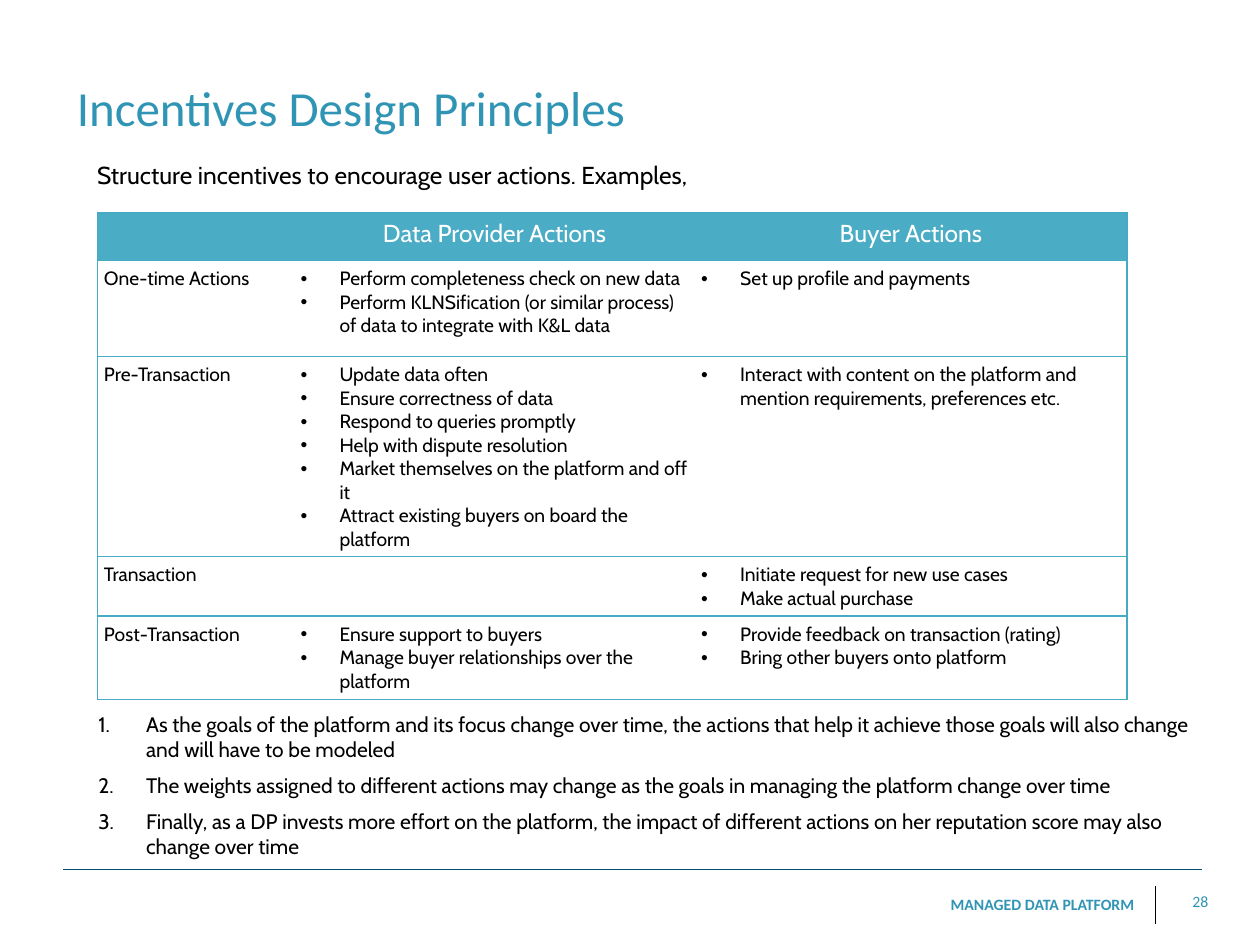
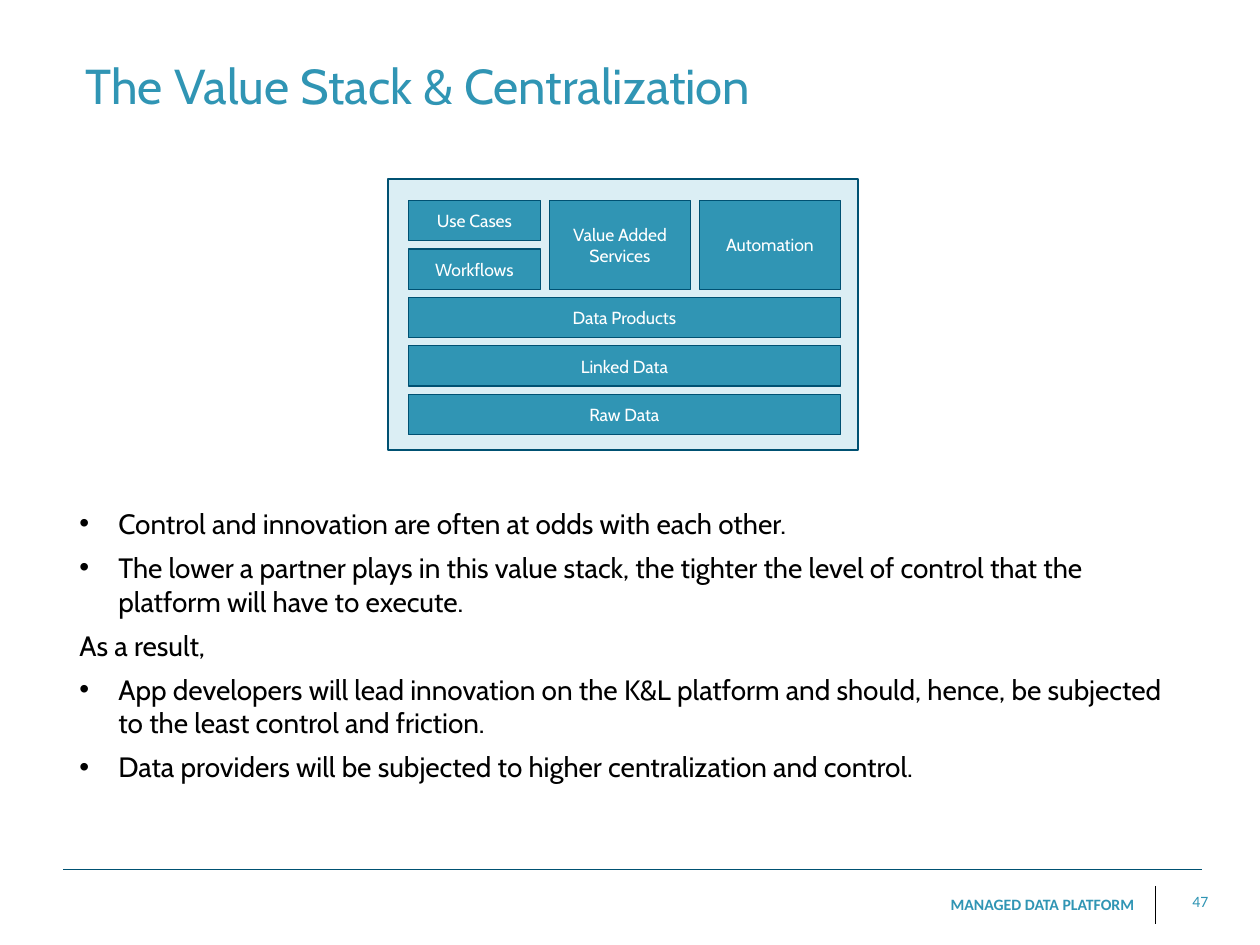
"""Builds two slides on platform incentives and the value stack."""
from typing import NamedTuple

from lxml.etree import SubElement
from pptx import Presentation
from pptx.dml.color import RGBColor
from pptx.enum.shapes import MSO_CONNECTOR as Link, MSO_SHAPE as Form
from pptx.enum.text import MSO_ANCHOR as Anchor, PP_ALIGN as Align
from pptx.oxml.ns import qn
from pptx.util import Emu, Inches, Pt

WIDE, HIGH = Inches(10), Inches(7.5)
COLS, ROWS = 100, 75
BLUE, NAVY, PALE = "3095B4", "005172", "DBEEF4"
HEAD, EDGE = "4BACC6", "46AAC4"
BLACK, WHITE = "000000", "FFFFFF"
PAD = Inches(0.05)


class Box(NamedTuple):
    left: float
    top: float
    width: float
    height: float


class Look(NamedTuple):
    size: float
    color: str = BLACK
    face: str = "Cabin"
    bold: bool = False
    align: Align = Align.LEFT
    gap: float = 0


class Item(NamedTuple):
    text: str
    mark: str = ""
    dent: float = 0.31


class Tile(NamedTuple):
    text: str
    col: int
    row: int
    wide: int = 1
    tall: int = 1


FOOT = Look(9, BLUE, "Calibri", align=Align.RIGHT)
CELL = Look(11)
TOP = Look(14, WHITE, align=Align.CENTER)
LABEL = Look(10, WHITE, align=Align.CENTER)

GRID_COLS = (15.6, 31.8, 34.3)
GRID_ROWS = (3.8, 7.6, 15.9, 4.7, 6.6)
ACTIONS = (
    ("One-time Actions",
     ("Perform completeness check on new data",
      "Perform KLNSification (or similar process) of data to integrate with K&L data"),
     ("Set up profile and payments",)),
    ("Pre-Transaction",
     ("Update data often", "Ensure correctness of data",
      "Respond to queries promptly", "Help with dispute resolution",
      "Market themselves on the platform and off it",
      "Attract existing buyers on board the platform"),
     ("Interact with content on the platform and mention requirements, preferences etc.",)),
    ("Transaction", (),
     ("Initiate request for new use cases", "Make actual purchase")),
    ("Post-Transaction",
     ("Ensure support to buyers", "Manage buyer relationships over the platform"),
     ("Provide feedback on transaction (rating)", "Bring other buyers onto platform")),
)
NOTES = (
    "As the goals of the platform and its focus change over time, the actions that help it "
    "achieve those goals will also change and will have to be modeled",
    "The weights assigned to different actions may change as the goals in managing the "
    "platform change over time",
    "Finally, as a DP invests more effort on the platform, the impact of different actions "
    "on her reputation score may also change over time",
)
STACK = Box(32.4, 15.9, 34.3, 18.6)
STACK_COLS = (10.5, 11.2, 11.2)
STACK_GAP, TILE_HIGH, PITCH = 0.7, 3.2, 3.85
TILES = (
    Tile("Use Cases", 0, 0), Tile("Workflows", 0, 1),
    Tile("Value Added Services", 1, 0, tall=2), Tile("Automation", 2, 0, tall=2),
    Tile("Data Products", 0, 2, wide=3), Tile("Linked Data", 0, 3, wide=3),
    Tile("Raw Data", 0, 4, wide=3),
)
POINTS = (
    Item("Control and innovation are often at odds with each other.", "•"),
    Item("The lower a partner plays in this value stack, the tighter the level of control "
         "that the platform will have to execute.", "•"),
    Item("As a result,"),
    Item("App developers will lead innovation on the K&L platform and should, hence, be "
         "subjected to the least control and friction.", "•"),
    Item("Data providers will be subjected to higher centralization and control.", "•"),
)


def across(n: float) -> Emu:
    return Emu(round(WIDE * n / COLS))


def down(n: float) -> Emu:
    return Emu(round(HIGH * n / ROWS))


def place(box: Box) -> tuple[Emu, Emu, Emu, Emu]:
    return across(box.left), down(box.top), across(box.width), down(box.height)


def rgb(code: str) -> RGBColor:
    return RGBColor.from_string(code)


def set_mark(para, item: Item) -> None:
    props = para._p.get_or_add_pPr()
    dent = Inches(item.dent)
    props.set("marL", str(dent))
    props.set("indent", str(-dent))
    if item.mark == "1.":
        SubElement(props, qn("a:buAutoNum"), type="arabicPeriod")
    else:
        SubElement(props, qn("a:buFont"), typeface="Arial")
        SubElement(props, qn("a:buChar"), char=item.mark)


def write(frame, items: list[Item], look: Look) -> None:
    for i, item in enumerate(items):
        para = frame.add_paragraph() if i else frame.paragraphs[0]
        para.text = item.text
        para.alignment = look.align
        if i and look.gap:
            para.space_before = Pt(look.gap)
        if item.mark:
            set_mark(para, item)
        font = para.font
        font.size, font.name, font.bold = Pt(look.size), look.face, look.bold
        font.color.rgb = rgb(look.color)


def set_pads(thing) -> None:
    thing.margin_left = thing.margin_right = PAD
    thing.margin_top = thing.margin_bottom = PAD


def add_text(slide, box: Box, items: list[Item], look: Look,
             anchor: Anchor = Anchor.TOP, wrap: bool = True) -> None:
    frame = slide.shapes.add_textbox(*place(box)).text_frame
    set_pads(frame)
    frame.word_wrap, frame.vertical_anchor = wrap, anchor
    write(frame, items, look)


def add_rule(slide, x1: float, y1: float, x2: float, y2: float, color: str) -> None:
    rule = slide.shapes.add_connector(
        Link.STRAIGHT, across(x1), down(y1), across(x2), down(y2))
    rule.line.color.rgb = rgb(color)
    rule.line.width = Pt(0.5)
    SubElement(rule._element.spPr, qn("a:effectLst"))


def add_block(slide, box: Box, fill: str, line: float, text: str = "") -> None:
    block = slide.shapes.add_shape(Form.RECTANGLE, *place(box))
    block.shadow.inherit = False
    block.fill.solid()
    block.fill.fore_color.rgb = rgb(fill)
    block.line.color.rgb = rgb(NAVY)
    block.line.width = Pt(line)
    if text:
        frame = block.text_frame
        set_pads(frame)
        frame.word_wrap, frame.vertical_anchor = True, Anchor.MIDDLE
        write(frame, [Item(text)], LABEL)


def set_edges(cell, sides: str) -> None:
    props = cell._tc.get_or_add_tcPr()
    for side in "LRTB":
        edge = SubElement(props, qn(f"a:ln{side}"), w=str(Pt(0.75)))
        if side in sides:
            fill = SubElement(edge, qn("a:solidFill"))
            SubElement(fill, qn("a:srgbClr"), val=EDGE)
        else:
            SubElement(edge, qn("a:noFill"))


def add_grid(slide) -> None:
    box = Box(7.75, 16.9, sum(GRID_COLS), sum(GRID_ROWS))
    table = slide.shapes.add_table(len(GRID_ROWS), len(GRID_COLS), *place(box)).table
    table.first_row = table.horz_banding = False
    for col, width in zip(table.columns, GRID_COLS):
        col.width = across(width)
    for row, height in zip(table.rows, GRID_ROWS):
        row.height = down(height)
    lines = [[[Item(name)] for name in ("", "Data Provider Actions", "Buyer Actions")]]
    for name, *lists in ACTIONS:
        lines.append([[Item(name)]] + [[Item(t, "•") for t in part] or [Item("")]
                                       for part in lists])
    for r, line in enumerate(lines):
        for c, items in enumerate(line):
            cell = table.cell(r, c)
            set_pads(cell)
            set_edges(cell, "TB" + ("L", "", "R")[c])
            if r:
                cell.fill.background()
            else:
                cell.fill.solid()
                cell.fill.fore_color.rgb = rgb(HEAD)
            write(cell.text_frame, items, CELL if r else TOP)


def add_stack(slide) -> None:
    add_block(slide, Box(30.8, 14.2, 37.3, 21.5), PALE, 1)
    for tile in TILES:
        left = STACK.left + sum(STACK_COLS[:tile.col]) + STACK_GAP * tile.col
        width = sum(STACK_COLS[tile.col:tile.col + tile.wide]) + STACK_GAP * (tile.wide - 1)
        top = STACK.top + PITCH * tile.row
        height = TILE_HIGH + PITCH * (tile.tall - 1)
        add_block(slide, Box(left, top, width, height), BLUE, 0.75, tile.text)


def add_page(deck, title: str, box: Box, face: str, number: int):
    slide = deck.slides.add_slide(deck.slide_layouts[6])
    add_rule(slide, 5, 69, 95.4, 69, NAVY)
    add_rule(slide, 91.7, 70.3, 91.7, 73.3, BLACK)
    add_text(slide, Box(60.5, 70.5, 30, 2.5), [Item("MANAGED DATA PLATFORM")],
             FOOT._replace(bold=True))
    add_text(slide, Box(93.9, 70.3, 2.5, 2.5), [Item(str(number))], FOOT, wrap=False)
    add_text(slide, box, [Item(title)], Look(28, BLUE, face), Anchor.MIDDLE)
    return slide


def main() -> None:
    deck = Presentation()
    deck.slide_width, deck.slide_height = WIDE, HIGH

    page = add_page(deck, "Incentives Design Principles",
                    Box(5.6, 1.3, 90.1, 14.4), "Calibri", 28)
    add_grid(page)
    add_text(page, Box(7.2, 12.2, 88.9, 3.2),
             [Item("Structure incentives to encourage user actions. Examples,")], Look(14))
    add_text(page, Box(7.3, 56, 88.9, 12.4),
             [Item(note, "1.", 0.38) for note in NOTES], Look(12, gap=6))

    page = add_page(deck, "The Value Stack & Centralization",
                    Box(6.3, 1.3, 90.1, 10.8), "Cabin", 47)
    add_stack(page)
    add_text(page, Box(5.8, 39.7, 88.9, 22.8), list(POINTS), Look(16, gap=6))

    deck.save("out.pptx")


if __name__ == "__main__":
    main()
